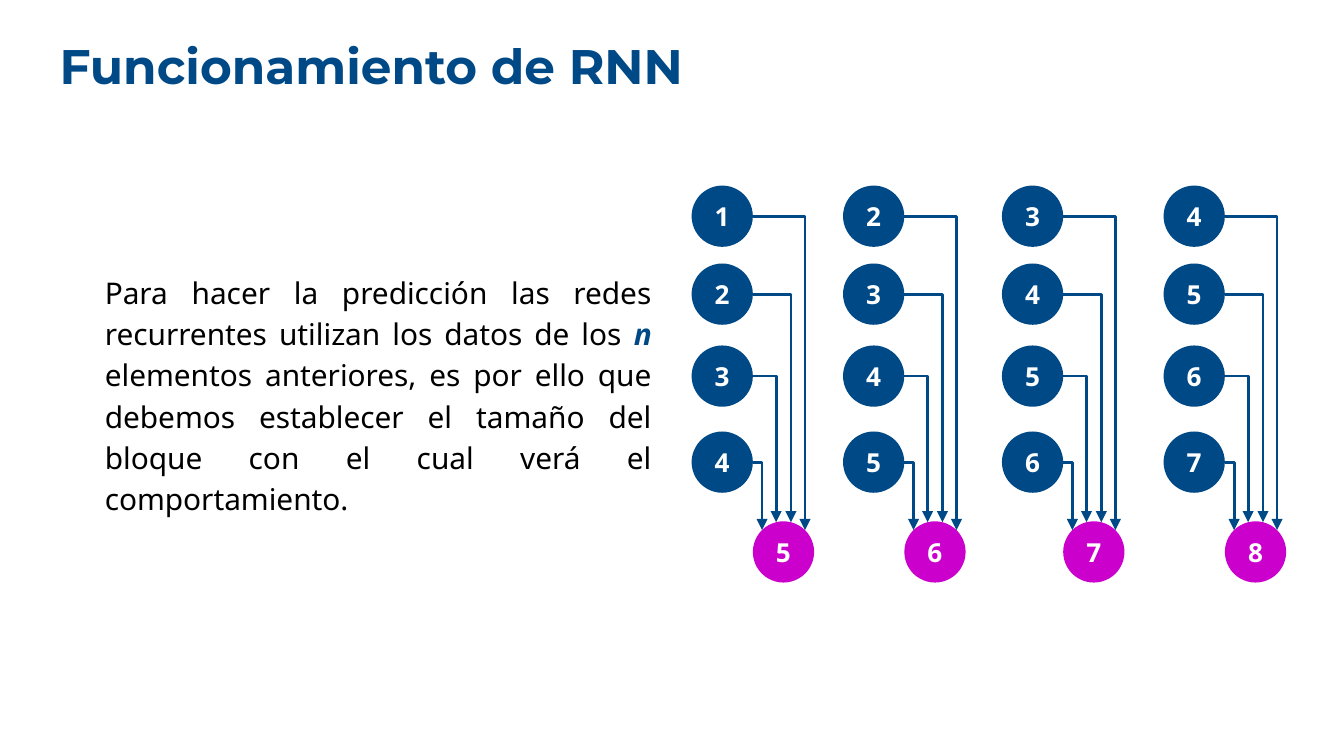
import math
from dataclasses import dataclass

import pptx
import pptx.dml.color
import pptx.enum.shapes
import pptx.enum.text
import pptx.oxml
import pptx.oxml.ns
import pptx.util
import lxml.etree

ALIGN = pptx.enum.text.PP_ALIGN
ANCHOR = pptx.enum.text.MSO_ANCHOR
FIT = pptx.enum.text.MSO_AUTO_SIZE
SHAPE = pptx.enum.shapes.MSO_SHAPE
ELBOW = pptx.enum.shapes.MSO_CONNECTOR.ELBOW
qn = pptx.oxml.ns.qn

SLIDE_WIDTH = pptx.util.Inches(10)
SLIDE_HEIGHT = SLIDE_WIDTH * 9 // 16
COLUMNS = 100


@dataclass(frozen=True)
class Theme:
    navy: str = "004987"
    magenta: str = "CC00CC"
    black: str = "000000"
    white: str = "FFFFFF"
    heading_font: str = "Montserrat"
    body_font: str = "Noto Sans"
    heading_size: float = 26
    body_size: float = 16
    node_size: float = 14
    line_width: float = 1.5


@dataclass(frozen=True)
class Box:
    left: float
    top: float
    width: float
    height: float

    def inner(self, left, top, width, height):
        return Box(self.left + left, self.top + top, width, height)

    def place(self):
        return [grid(n) for n in (self.left, self.top, self.width, self.height)]


THEME = Theme()


def grid(cells):
    return round(cells * SLIDE_WIDTH / COLUMNS)


def color(code):
    return pptx.dml.color.RGBColor.from_string(code)


def write(frame, text, size, font=THEME.body_font, fill=THEME.black, bold=False,
          align=ALIGN.LEFT, anchor=ANCHOR.TOP, spacing=1.0, after=0, inset=0.7,
          fit=FIT.NONE, accent=None):
    frame.word_wrap = True
    frame.auto_size = fit
    frame.vertical_anchor = anchor
    frame.margin_left = frame.margin_right = grid(inset)
    frame.margin_top = frame.margin_bottom = grid(inset)
    paragraph = frame.paragraphs[0]
    paragraph.alignment = align
    paragraph.line_spacing = spacing
    paragraph.space_after = pptx.util.Pt(after)
    for index, part in enumerate(text.split("*")):
        stressed = index % 2 == 1
        run = paragraph.add_run()
        run.text = part
        run.font.name = font
        run.font.size = pptx.util.Pt(size)
        run.font.bold = bold or stressed
        run.font.italic = stressed
        run.font.color.rgb = color(accent if stressed else fill)


def heading(slide, box):
    frame = slide.shapes.add_textbox(*box.place()).text_frame
    write(frame, "Funcionamiento de RNN", THEME.heading_size, font=THEME.heading_font,
          fill=THEME.navy, bold=True, spacing=0.9, inset=1)


def explanation(slide, box):
    frame = slide.shapes.add_textbox(*box.place()).text_frame
    write(frame,
          "Para hacer la predicción las redes recurrentes utilizan los datos de los *n* "
          "elementos anteriores, es por ello que debemos establecer el tamaño del bloque "
          "con el cual verá el comportamiento.",
          THEME.body_size, align=ALIGN.JUSTIFY, spacing=1.15, after=12,
          fit=FIT.SHAPE_TO_FIT_TEXT, accent=THEME.navy)


def node(slide, box, number, fill):
    circle = slide.shapes.add_shape(SHAPE.OVAL, *box.place())
    circle.shadow.inherit = False
    circle.fill.solid()
    circle.fill.fore_color.rgb = color(fill)
    circle.line.fill.background()
    write(circle.text_frame, str(number), THEME.node_size, fill=THEME.white, bold=True,
          align=ALIGN.CENTER, anchor=ANCHOR.MIDDLE)


def arrow(slide, start, end):
    elbow = slide.shapes.add_connector(ELBOW, *[grid(n) for n in (*start, *end)])
    elbow.line.color.rgb = color(THEME.navy)
    elbow.line.width = pptx.util.Pt(THEME.line_width)
    properties = elbow.element.spPr
    properties.find(qn("a:prstGeom")).set("prst", "bentConnector2")
    lxml.etree.SubElement(properties.find(qn("a:ln")), qn("a:tailEnd"), type="triangle")
    lxml.etree.SubElement(properties, qn("a:effectLst"))


def prediction_window(slide, box, first):
    diameter = 4.56
    radius = diameter / 2
    input_tops = (0, 5.8, 11.9, 18.3)
    landing_offsets = (1.6, 0.55, -0.55, -1.6)
    center_x = box.left + box.width - radius
    center_y = box.top + box.height - radius
    for step, top in enumerate(input_tops):
        node(slide, box.inner(0, top, diameter, diameter), first + step, THEME.navy)
    node(slide, box.inner(box.width - diameter, box.height - diameter, diameter, diameter),
         first + len(input_tops), THEME.magenta)
    for top, offset in zip(input_tops, landing_offsets):
        arrow(slide, (box.left + diameter, box.top + top + radius),
              (center_x + offset, center_y - math.sqrt(radius ** 2 - offset ** 2)))


def main():
    deck = pptx.Presentation()
    deck.slide_width = SLIDE_WIDTH
    deck.slide_height = SLIDE_HEIGHT
    slide = deck.slides.add_slide(deck.slide_layouts[6])
    heading(slide, Box(3.45, 2.2, 71.7, 6.3))
    explanation(slide, Box(7.1, 19.35, 42.1, 19.7))
    for first, left in enumerate((51.46, 62.73, 74.55, 86.58), start=1):
        prediction_window(slide, Box(left, 13.81, 9.12, 29.54), first)
    deck.save("out.pptx")


if __name__ == "__main__":
    main()
